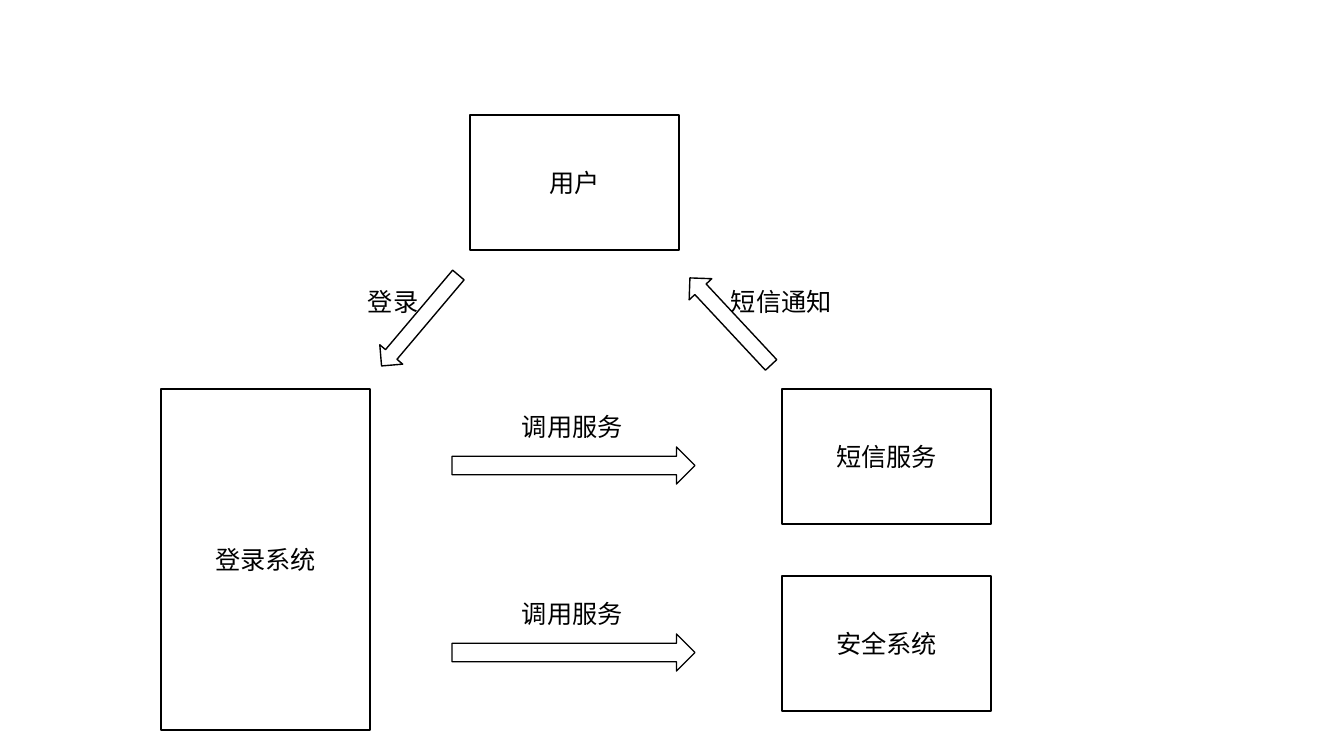
import pptx
import pptx.util
import pptx.dml.color
import pptx.enum.shapes
import pptx.enum.text

PX = 914400 / 100.8
SHAPE = pptx.enum.shapes.MSO_SHAPE
ALIGN = pptx.enum.text.PP_ALIGN
ANCHOR = pptx.enum.text.MSO_ANCHOR

theme = {
    "ink": pptx.dml.color.RGBColor(0, 0, 0),
    "paper": pptx.dml.color.RGBColor(255, 255, 255),
    "line": pptx.util.Pt(1),
    "font": {"name": "Calibri", "size": pptx.util.Pt(18)},
}


def draw(kind, *rect):
    shape = slide.shapes.add_shape(kind, *[round(v * PX) for v in rect])
    shape.shadow.inherit = False
    shape.fill.solid()
    shape.fill.fore_color.rgb = theme["paper"]
    shape.line.color.rgb = theme["ink"]
    shape.line.width = theme["line"]
    return shape


def write(shape, text, align, **frame):
    for key, value in frame.items():
        setattr(shape.text_frame, key, value)
    para = shape.text_frame.paragraphs[0]
    para.alignment = align
    run = para.add_run()
    run.text = text
    for key, value in theme["font"].items():
        setattr(run.font, key, value)
    run.font.color.rgb = theme["ink"]


# Blank slide
deck = pptx.Presentation()
deck.slide_width = round(1344 * PX)
deck.slide_height = round(756 * PX)
slide = deck.slides.add_slide(deck.slide_layouts[6])

# System boxes: all one width, login box taller
box_w, box_h = 209, 135
row_y, row_gap = 389, 187
boxes = [
    ("登录系统", 161, row_y, 341),
    ("用户", 470, 115, box_h),
    ("短信服务", 782, row_y, box_h),
    ("安全系统", 782, row_y + row_gap, box_h),
]
for name, left, top, high in boxes:
    box = draw(SHAPE.RECTANGLE, left, top, box_w, high)
    write(box, name, ALIGN.CENTER, vertical_anchor=ANCHOR.MIDDLE)

# Arrows: login, notice, then one service call per row
arrows = [(405, 261, 30, 119, 40.2), (715, 262, 31, 119, 137)]
arrows += [(555, 344 + row * row_gap, 37, 243, 270) for row in range(2)]
for *rect, turn in arrows:
    draw(SHAPE.DOWN_ARROW, *rect).rotation = turn

# Arrow labels
labels = [("登录", 358, 281), ("短信通知", 721, 281)]
labels += [("调用服务", 512, 406 + row * row_gap) for row in range(2)]
for name, left, top in labels:
    label = slide.shapes.add_textbox(*[round(v * PX) for v in (left, top, 123, 40)])
    write(label, name, ALIGN.LEFT, word_wrap=True,
          auto_size=pptx.enum.text.MSO_AUTO_SIZE.SHAPE_TO_FIT_TEXT)

deck.save("out.pptx")
